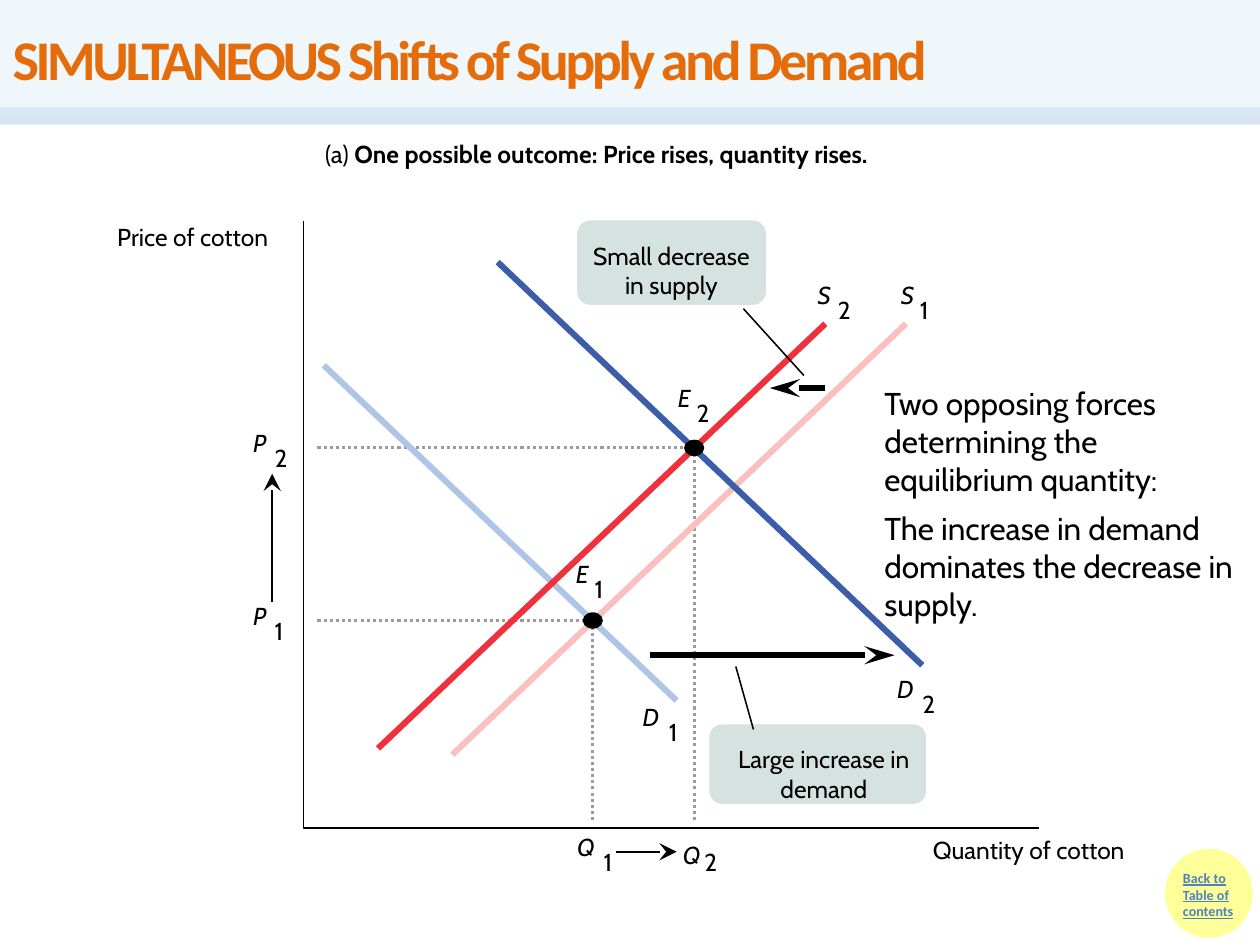
from pptx import Presentation
from pptx.dml.color import RGBColor
from pptx.enum.dml import MSO_LINE
from pptx.enum.shapes import MSO_CONNECTOR, MSO_SHAPE
from pptx.enum.text import MSO_ANCHOR, MSO_AUTO_SIZE, PP_ALIGN
from pptx.oxml.ns import qn
from pptx.oxml.xmlchemy import OxmlElement
from pptx.util import Inches, Pt

STRAIGHT = MSO_CONNECTOR.STRAIGHT
OVAL, ROUNDED = MSO_SHAPE.OVAL, MSO_SHAPE.ROUNDED_RECTANGLE
DOTTED = MSO_LINE.ROUND_DOT
LEFT, CENTER = PP_ALIGN.LEFT, PP_ALIGN.CENTER
TOP, MIDDLE = MSO_ANCHOR.TOP, MSO_ANCHOR.MIDDLE
FIT_SHAPE, NO_FIT = MSO_AUTO_SIZE.SHAPE_TO_FIT_TEXT, MSO_AUTO_SIZE.NONE

BLACK = RGBColor(0x00, 0x00, 0x00)
ORANGE = RGBColor(0xE4, 0x6C, 0x0A)
TITLE_FILL = RGBColor(0xDB, 0xEE, 0xF4)
BAND = RGBColor(0xC6, 0xD9, 0xF1)
YELLOW = RGBColor(0xFF, 0xFF, 0x99)
LINK_BLUE = RGBColor(0x4F, 0x81, 0xBD)
GUIDE_GRAY = RGBColor(0x9C, 0x9C, 0x9C)
CALLOUT_FILL = RGBColor(0xD6, 0xE2, 0xE0)
DEMAND_OLD = RGBColor(0xAE, 0xC5, 0xE7)
DEMAND_NEW = RGBColor(0x3C, 0x5D, 0xAA)
SUPPLY_OLD = RGBColor(0xFA, 0xC0, 0xBF)
SUPPLY_NEW = RGBColor(0xEE, 0x31, 0x3C)

# The slide is a grid of 100 columns by 75 rows of square cells.
SLIDE_WIDTH, SLIDE_HEIGHT = Inches(10), Inches(7.5)
CELL = SLIDE_WIDTH // 100

EQUILIBRIUM_1 = (47.05, 49.25)
EQUILIBRIUM_2 = (55.1, 35.55)
AXIS_LEFT, AXIS_TOP, AXIS_RIGHT, AXIS_BOTTOM = 24.1, 17.5, 82.5, 65.7


def cells(*counts):
    return [round(count * CELL) for count in counts]


def set_opacity(shape, percent):
    """Apply one opacity to every colour of the shape's fill and line."""
    for color in shape._element.spPr.iter(qn("a:srgbClr")):
        alpha = OxmlElement("a:alpha")
        alpha.set("val", str(percent * 1000))
        color.append(alpha)


def write(paragraph, text, size=14, face="Cabin", color=BLACK, bold=False,
          italic=False, underline=False, spacing=None):
    run = paragraph.add_run()
    run.text = text
    font = run.font
    font.size, font.name, font.color.rgb = Pt(size), face, color
    font.bold, font.italic, font.underline = bold, italic, underline
    if spacing is not None:
        run._r.get_or_add_rPr().set("spc", str(spacing * 100))


def set_insets(frame, left=0, top=0, right=0, bottom=0):
    (frame.margin_left, frame.margin_top,
     frame.margin_right, frame.margin_bottom) = cells(left, top, right, bottom)


def add_text(slide, place, text, align=LEFT, wrap=True, inset=True, **font):
    """Add a text box and return its paragraph."""
    frame = slide.shapes.add_textbox(*cells(*place)).text_frame
    frame.word_wrap, frame.auto_size = wrap, FIT_SHAPE
    if not inset:
        set_insets(frame)
    paragraph = frame.paragraphs[0]
    paragraph.alignment = align
    write(paragraph, text, **font)
    return paragraph


def add_symbol(slide, letter, index, left, top, shift, drop=1.2):
    """Add an italic letter and its index, set off to the right and below."""
    add_text(slide, (left, top, 1.4, 2.4), letter,
             wrap=False, inset=False, italic=True)
    add_text(slide, (left + shift, top + drop, 1, 2.4), index,
             wrap=False, inset=False)


def add_line(slide, start, end, color, width, dash=None, head_width=None):
    line = slide.shapes.add_connector(STRAIGHT, *cells(*start, *end))
    line.line.color.rgb, line.line.width = color, Pt(width)
    if dash:
        line.line.dash_style = dash
    if head_width:
        head = OxmlElement("a:tailEnd")
        for key, value in (("type", "stealth"), ("w", head_width), ("len", "lg")):
            head.set(key, value)
        line.line._get_or_add_ln().append(head)
    line._element.spPr.append(OxmlElement("a:effectLst"))
    return line


def add_filled(slide, preset, place, color):
    shape = slide.shapes.add_shape(preset, *cells(*place))
    shape.shadow.inherit = False
    shape.fill.solid()
    shape.fill.fore_color.rgb = color
    shape.line.fill.background()
    return shape


def add_callout(slide, place, text, left_inset, leader_start, leader_end):
    box = add_filled(slide, ROUNDED, place, CALLOUT_FILL)
    box.adjustments[0] = 0.16
    frame = box.text_frame
    frame.word_wrap, frame.vertical_anchor = True, TOP
    set_insets(frame, left=left_inset, top=1.3)
    frame.paragraphs[0].alignment = CENTER
    write(frame.paragraphs[0], text)
    add_line(slide, leader_start, leader_end, BLACK, 0.88)


def add_header(slide):
    set_opacity(add_line(slide, (0, 9.2), (100, 9.2), BAND, 10), 71)
    title = slide.shapes.title
    title.left, title.top, title.width, title.height = cells(0, 0, 100, 9.2)
    title.fill.solid()
    title.fill.fore_color.rgb = TITLE_FILL
    set_opacity(title, 44)
    frame = title.text_frame
    frame.auto_size, frame.vertical_anchor = NO_FIT, MIDDLE
    frame.paragraphs[0].alignment = LEFT
    write(frame.paragraphs[0], "SIMULTANEOUS Shifts of Supply and Demand",
          size=32, face="Calibri", color=ORANGE, bold=True, spacing=-2)
    # The translucent title lies over the upper half of the band.
    title._element.getparent().append(title._element)


def add_back_button(slide):
    disc = add_filled(slide, OVAL, (92.6, 67.5, 6.7, 6.8), YELLOW)
    disc.line.color.rgb, disc.line.width = YELLOW, Pt(2)
    add_text(slide, (92.9, 68.5, 7.2, 6.7), "Back to Table of contents", size=8,
             face="Calibri", color=LINK_BLUE, bold=True, underline=True)


def add_axes(slide):
    builder = slide.shapes.build_freeform(*cells(AXIS_RIGHT, AXIS_BOTTOM))
    builder.add_line_segments([cells(AXIS_LEFT, AXIS_BOTTOM),
                               cells(AXIS_LEFT, AXIS_TOP)], close=False)
    axes = builder.convert_to_shape()
    axes.shadow.inherit = False
    axes.fill.background()
    axes.line.color.rgb, axes.line.width = BLACK, Pt(0.88)
    add_text(slide, (7.5, 17.1, 15.6, 3.4), "Price of cotton", align=CENTER)
    add_text(slide, (70.8, 65.8, 21.7, 3.4), "Quantity of cotton", align=CENTER)


def add_curves(slide):
    for x, y in (EQUILIBRIUM_1, EQUILIBRIUM_2):
        for end in ((25.2, y), (x, 65.1)):
            add_line(slide, end, (x, y), GUIDE_GRAY, 1.75, dash=DOTTED)
    for start, end, color in (
        ((53.7, 55.6), (25.7, 29), DEMAND_OLD),
        ((30, 59.4), (65.5, 25.7), SUPPLY_NEW),
        ((35.9, 59.9), (71.9, 25.7), SUPPLY_OLD),
        ((73.2, 52.8), (39.5, 20.8), DEMAND_NEW),
    ):
        add_line(slide, start, end, color, 3.5)
    for x, y in (EQUILIBRIUM_1, EQUILIBRIUM_2):
        add_filled(slide, OVAL, (x - 0.8, y - 0.65, 1.6, 1.3), BLACK)


def add_shift_arrows(slide):
    for start, end, width, head_width in (
        ((65.5, 30.8), (61.1, 30.8), 3.5, "med"),
        ((51.6, 52), (71, 52), 3.5, "med"),
        ((21.6, 47.8), (21.6, 37.6), 1.38, "lg"),
        ((48.9, 67.6), (53.7, 67.6), 1.38, "lg"),
    ):
        add_line(slide, start, end, BLACK, width, head_width=head_width)


def add_symbols(slide):
    for letter, index, left, top, shift in (
        ("Q", "1", 45.8, 66, 2.1),
        ("P", "2", 20.1, 34, 1.7),
        ("P", "1", 20.1, 47.7, 1.7),
        ("S", "2", 64.9, 22.2, 1.6),
        ("S", "1", 71.5, 22.2, 1.5),
        ("D", "2", 71.2, 53.5, 2),
        ("D", "1", 51, 55.7, 2.1),
        ("E", "1", 45.7, 44.4, 1.5),
        ("E", "2", 53.8, 30.4, 1.5),
    ):
        add_symbol(slide, letter, index, left, top, shift)
    add_symbol(slide, "Q", "2", 54.2, 66.7, 1.7, drop=0.5)


def main():
    presentation = Presentation()
    presentation.slide_width, presentation.slide_height = SLIDE_WIDTH, SLIDE_HEIGHT
    slide = presentation.slides.add_slide(presentation.slide_layouts[5])

    add_header(slide)
    add_back_button(slide)
    caption = add_text(slide, (25.8, 11, 55.8, 2.4), "(a) ", inset=False)
    write(caption, "One possible outcome: Price rises, quantity rises.", bold=True)
    for top, remark in (
        (30, "Two opposing forces determining the equilibrium quantity:"),
        (39.9, "The increase in demand dominates the decrease in supply."),
    ):
        add_text(slide, (69.2, top, 30.8, 10.1), remark, size=18)

    add_axes(slide)
    add_curves(slide)
    add_shift_arrows(slide)
    add_callout(slide, (45.8, 17.5, 15, 6.7), "Small decrease in supply", 0,
                (59, 24.5), (63.8, 29.8))
    add_callout(slide, (56.3, 57.5, 17.2, 6.3), "Large increase in demand", 1,
                (58.4, 52.9), (59.8, 57.9))
    add_symbols(slide)
    presentation.save("out.pptx")


if __name__ == "__main__":
    main()
